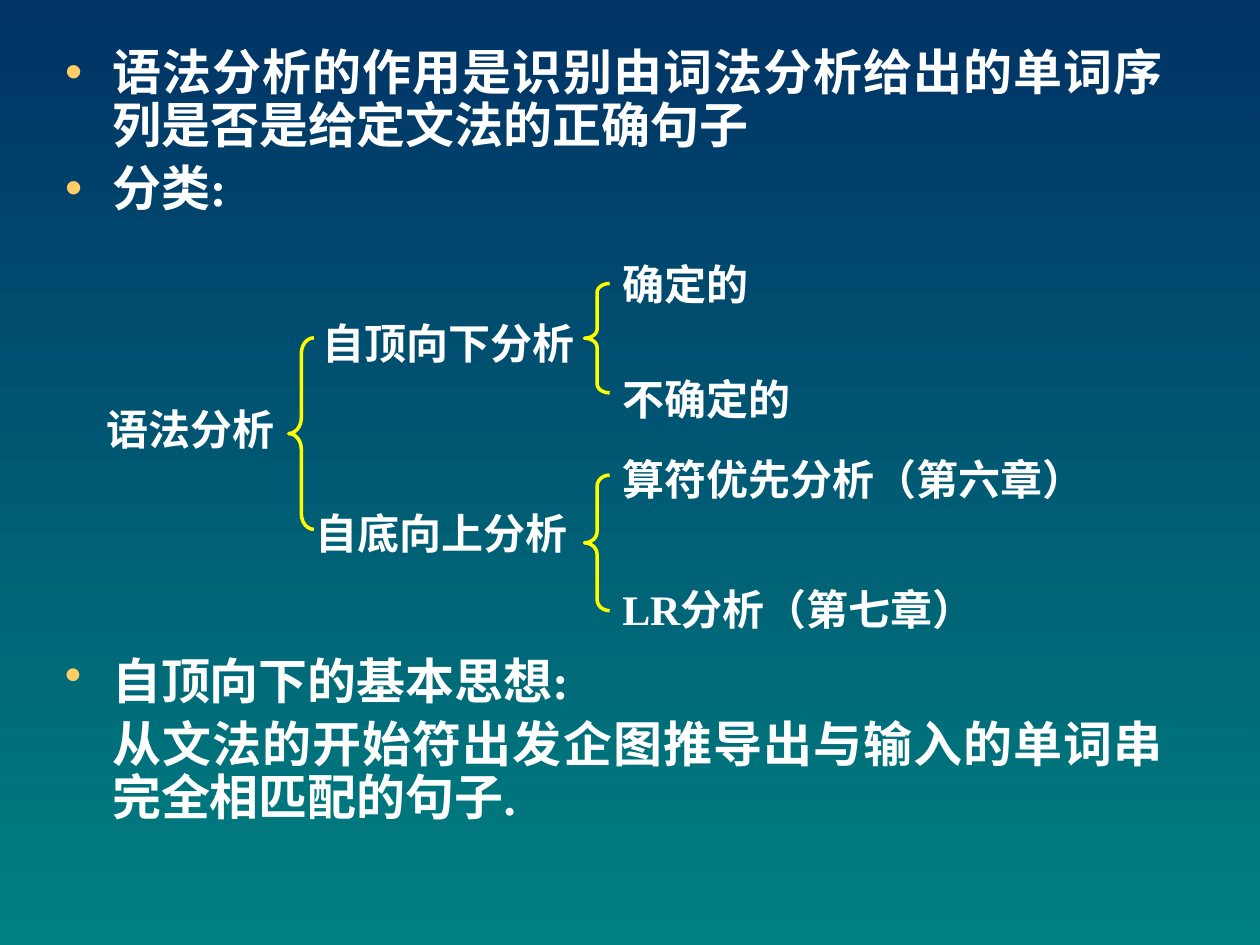
from lxml.etree import SubElement
from pptx import Presentation
from pptx.dml.color import RGBColor
from pptx.enum.shapes import MSO_SHAPE
from pptx.enum.text import MSO_ANCHOR, MSO_AUTO_SIZE, PP_ALIGN
from pptx.oxml.ns import qn
from pptx.util import Pt


def color(value):
    return RGBColor.from_string(value)


def write(frame, lines, size):
    frame.word_wrap = True
    frame.auto_size = MSO_AUTO_SIZE.NONE
    frame.vertical_anchor = MSO_ANCHOR.TOP
    frame.text = "\n".join(lines)
    for paragraph in frame.paragraphs:
        paragraph.alignment = PP_ALIGN.JUSTIFY
        for run in paragraph.runs:
            run.font.name = "Times New Roman"
            run.font.size = Pt(size)
            run.font.bold = True
            run.font.color.rgb = color("FFFFFF")


presentation = Presentation()
presentation.slide_width = Pt(720)
presentation.slide_height = Pt(540)
slide = presentation.slides.add_slide(presentation.slide_layouts[1])
title = slide.shapes.title.element
title.getparent().remove(title)

background = slide.background.fill
background.gradient()
background.gradient_angle = 270
for stop, shade in zip(background.gradient_stops, ("003366", "008080")):
    stop.color.rgb = color(shade)

purpose = slide.placeholders[1]
purpose.left, purpose.top, purpose.width, purpose.height = Pt(30), Pt(24), Pt(642), Pt(114)
idea = slide.shapes.add_textbox(Pt(30), Pt(372), Pt(642), Pt(114))

passages = [
    (purpose, ["语法分析的作用是识别由词法分析给出的单词序列是否是给定文法的正确句子", "分类:"], 2),
    (idea, ["自顶向下的基本思想:", "从文法的开始符出发企图推导出与输入的单词串完全相匹配的句子."], 1),
]
for passage, lines, bullet_count in passages:
    write(passage.text_frame, lines, 28)
    for index, paragraph in enumerate(passage.text_frame.paragraphs):
        paragraph.line_spacing = 0.9
        paragraph.space_before = Pt(5.6)
        properties = paragraph._p.get_or_add_pPr()
        properties.set("marL", str(Pt(27)))
        if index < bullet_count:
            properties.set("indent", str(-Pt(27)))
            bullet_color = SubElement(properties, qn("a:buClr"))
            SubElement(bullet_color, qn("a:srgbClr"), val="FFCC66")
            SubElement(properties, qn("a:buChar"), char="•")

classification = slide.shapes.add_group_shape()

braces = [
    (165, 193, 109.5, 0.623),
    (334, 162, 62.5, 0.358),
    (334, 271.5, 77.5, 0.448),
]
for left, top, height, curve in braces:
    brace = classification.shapes.add_shape(
        MSO_SHAPE.LEFT_BRACE, Pt(left), Pt(top), Pt(14.4), Pt(height))
    brace.adjustments[0] = curve
    brace.shadow.inherit = False
    brace.fill.background()
    brace.line.color.rgb = color("FFFF00")
    brace.line.width = Pt(2)

categories = [
    ("语法分析", 54, 227, 126),
    ("自顶向下分析", 177, 178, 172),
    ("自底向上分析", 173.5, 286.5, 199),
    ("确定的", 348.5, 144, 146),
    ("不确定的", 348.5, 210, 146),
    ("算符优先分析（第六章）", 348.5, 255.5, 287),
    ("LR分析（第七章）", 348.5, 330, 251),
]
for name, left, top, width in categories:
    category = classification.shapes.add_textbox(Pt(left), Pt(top), Pt(width), Pt(47))
    write(category.text_frame, [name], 24)

presentation.save("out.pptx")
